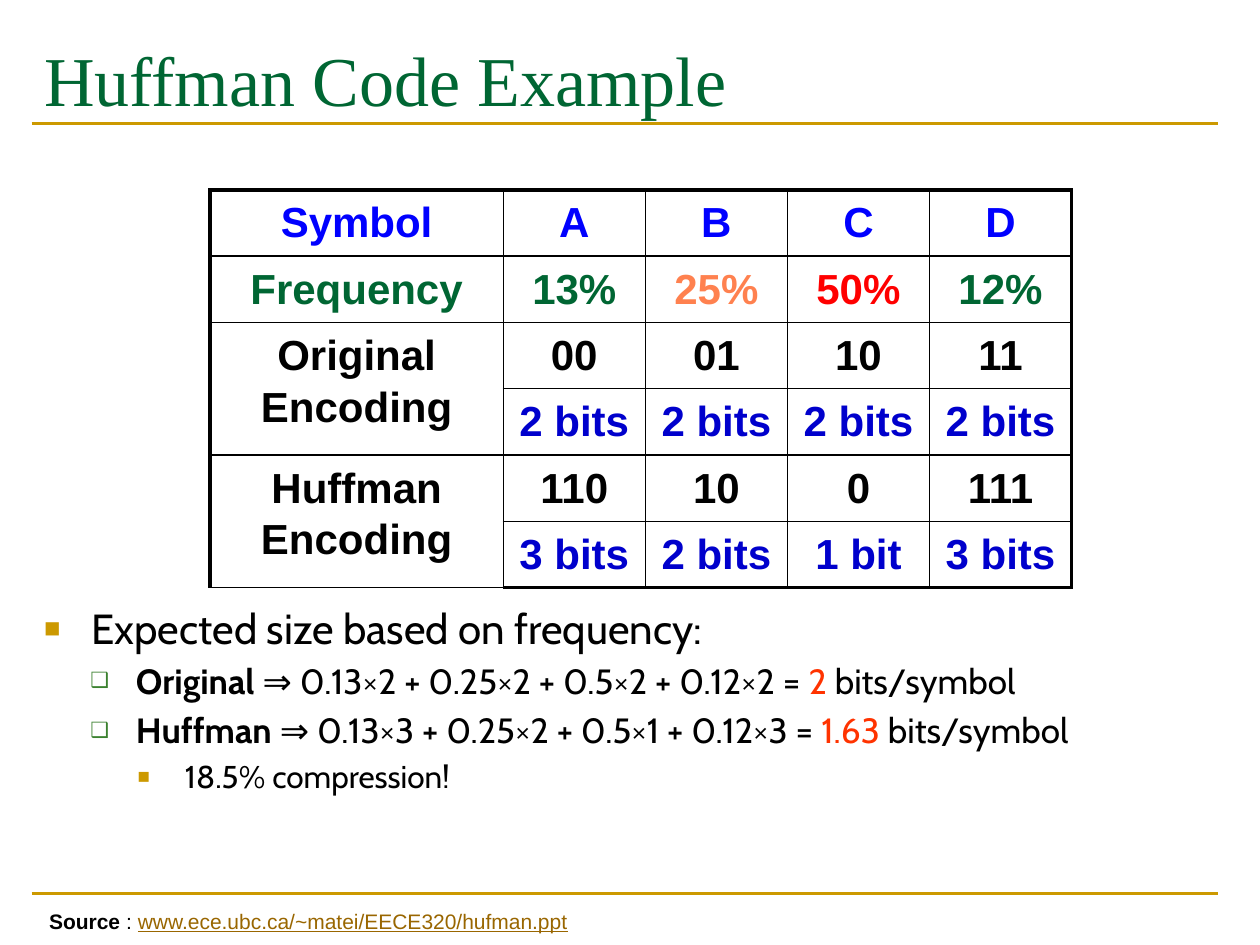
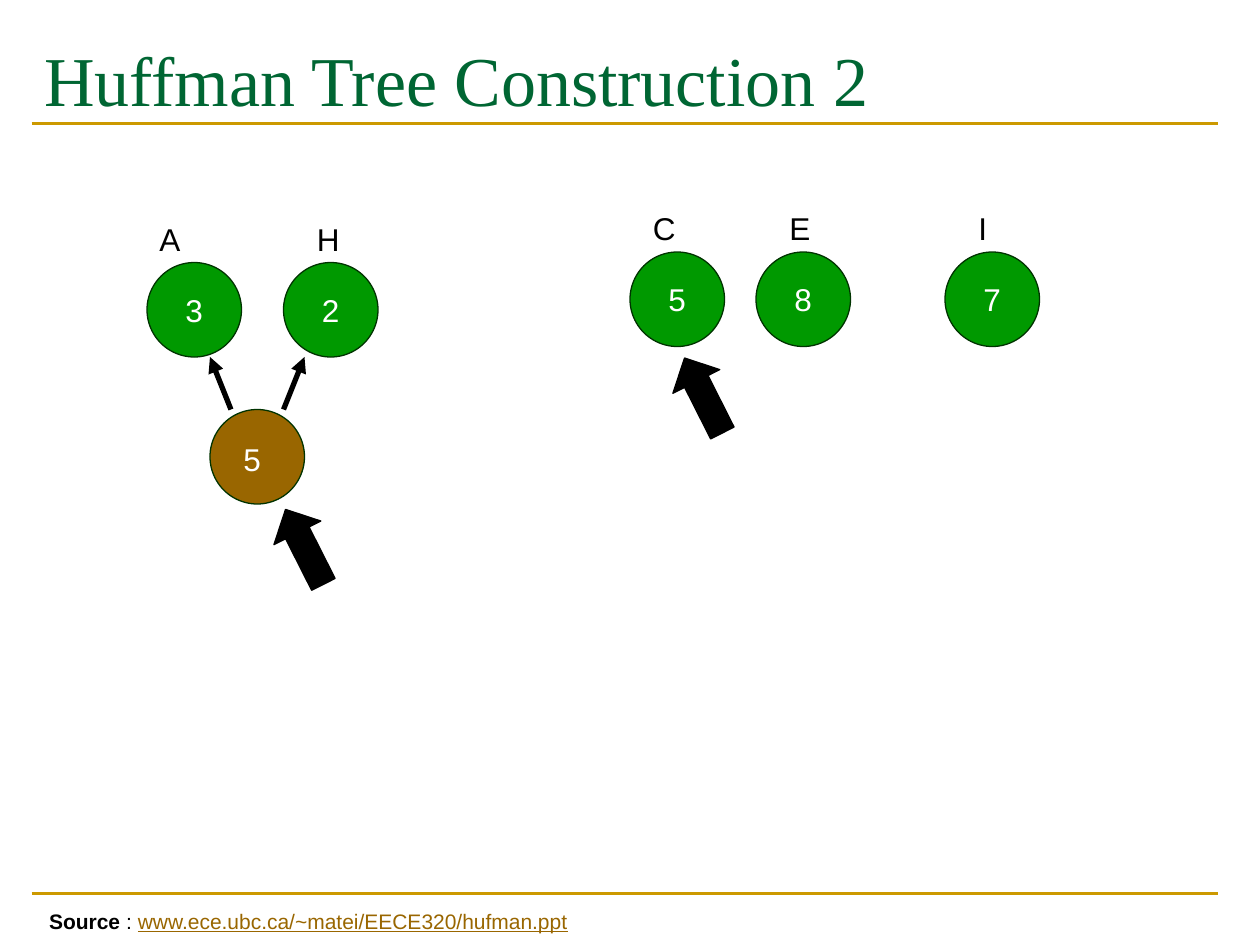
from lxml.etree import SubElement
from pptx import Presentation
from pptx.dml.color import RGBColor
from pptx.enum.shapes import MSO_CONNECTOR, MSO_SHAPE
from pptx.enum.text import MSO_ANCHOR, MSO_AUTO_SIZE, PP_ALIGN
from pptx.oxml.ns import qn
from pptx.oxml.xmlchemy import OxmlElement
from pptx.util import Pt

BLACK = RGBColor(0x00, 0x00, 0x00)
WHITE = RGBColor(0xFF, 0xFF, 0xFF)
GOLD = RGBColor(0xCC, 0x99, 0x00)
BROWN = RGBColor(0x99, 0x66, 0x00)
DARK_GREEN = RGBColor(0x00, 0x66, 0x33)
OUTLINE_GREEN = RGBColor(0x00, 0x33, 0x00)
LEAF_GREEN = RGBColor(0x00, 0x99, 0x00)
BULLET_GREEN = RGBColor(0x3B, 0x81, 0x2F)
BLUE = RGBColor(0x00, 0x00, 0xFF)
DEEP_BLUE = RGBColor(0x00, 0x00, 0xCC)
ORANGE = RGBColor(0xFF, 0x81, 0x4F)
RED = RGBColor(0xFF, 0x00, 0x00)
RESULT_RED = RGBColor(0xFF, 0x33, 0x00)

TITLE_FONT, BODY_FONT, LABEL_FONT = "Times New Roman", "Cabin", "Arial"
TITLE_ONLY, TITLE_AND_BODY = 5, 1
LEFT, RIGHT = 18, 696
NODE_SIZE = 54

# text size, left margin, hanging indent, bullet, bullet colour, bullet percent
LIST_LEVELS = [
    (24, 27, 27, "■", GOLD, 65),
    (20, 52.5, 26, "❑", BULLET_GREEN, 60),
    (18, 80.5, 27, "■", GOLD, 65),
]


class Deck:
    def __init__(self):
        self.presentation = Presentation()
        self.presentation.slide_width = Pt(720)
        self.presentation.slide_height = Pt(540)
        self.slide = None

    def add_slide(self, layout, title):
        """Start a slide with its title, two gold rules and source line."""
        self.slide = self.presentation.slides.add_slide(
            self.presentation.slide_layouts[layout])
        shape = self.slide.shapes.title
        self.place(shape, LEFT, 12, RIGHT - LEFT, 84)
        frame = shape.text_frame
        frame.text = title
        frame.auto_size = MSO_AUTO_SIZE.NONE
        frame.vertical_anchor = MSO_ANCHOR.TOP
        frame.margin_top = Pt(8.6)
        frame.paragraphs[0].alignment = PP_ALIGN.LEFT
        self.style(frame.paragraphs[0].runs[0], 40, DARK_GREEN, TITLE_FONT)
        for y in (70.6, 510.5):
            self.line(LEFT, y, RIGHT, y, GOLD, 1.5)
        self.text(21, 515.5, 540, 21.6, [
            ("Source", BLACK, True),
            (" : ", BLACK, False),
            ("www.ece.ubc.ca/~matei/EECE320/hufman.ppt", BROWN, False),
        ], 12).runs[-1].font.underline = True

    def place(self, shape, left, top, width, height):
        shape.left, shape.top = Pt(left), Pt(top)
        shape.width, shape.height = Pt(width), Pt(height)

    def style(self, run, size, color, name=LABEL_FONT, bold=False):
        font = run.font
        font.size, font.name, font.bold = Pt(size), name, bold
        font.color.rgb = color

    def fill_paragraph(self, paragraph, pieces, size, name=LABEL_FONT):
        """Add one run for each (text, colour, bold) piece."""
        for text, color, bold in pieces:
            run = paragraph.add_run()
            run.text = text
            self.style(run, size, color, name, bold)

    def text(self, left, top, width, height, pieces, size=18):
        box = self.slide.shapes.add_textbox(
            Pt(left), Pt(top), Pt(width), Pt(height))
        box.text_frame.word_wrap = True
        paragraph = box.text_frame.paragraphs[0]
        self.fill_paragraph(paragraph, pieces, size)
        return paragraph

    def line(self, x1, y1, x2, y2, color, width, arrow=False):
        connector = self.slide.shapes.add_connector(
            MSO_CONNECTOR.STRAIGHT, Pt(x1), Pt(y1), Pt(x2), Pt(y2))
        connector.line.color.rgb = color
        connector.line.width = Pt(width)
        properties = connector._element.spPr
        if arrow:
            SubElement(properties.find(qn("a:ln")), qn("a:tailEnd"), type="triangle")
        SubElement(properties, qn("a:effectLst"))

    def shape(self, kind, left, top, width, height, fill, outline):
        shape = self.slide.shapes.add_shape(
            kind, Pt(left), Pt(top), Pt(width), Pt(height))
        shape.shadow.inherit = False
        shape.fill.solid()
        shape.fill.fore_color.rgb = fill
        shape.line.color.rgb = outline
        shape.line.width = Pt(0.75)
        return shape

    def node(self, left, top, fill, weight=None):
        shape = self.shape(MSO_SHAPE.OVAL, left, top, NODE_SIZE, NODE_SIZE,
                           fill, OUTLINE_GREEN)
        if weight:
            frame = shape.text_frame
            frame.word_wrap = False
            frame.vertical_anchor = MSO_ANCHOR.MIDDLE
            frame.paragraphs[0].alignment = PP_ALIGN.CENTER
            self.fill_paragraph(frame.paragraphs[0], [(weight, WHITE, False)], 18)

    def pointer(self, left, top):
        """Draw the block arrow that marks a node chosen for merging."""
        arrow = self.shape(MSO_SHAPE.RIGHT_ARROW, left, top, 48, 30, BLACK, BLACK)
        arrow.rotation = 243.2

    def bullets(self, left, top, width, height, items):
        """Fill the body placeholder with (level, pieces) items."""
        body = self.slide.placeholders[1]
        self.place(body, left, top, width, height)
        frame = body.text_frame
        frame.auto_size = MSO_AUTO_SIZE.NONE
        for index, (level, pieces) in enumerate(items):
            paragraph = frame.add_paragraph() if index else frame.paragraphs[0]
            size, margin, hanging, mark, color, percent = LIST_LEVELS[level]
            paragraph.level = level
            paragraph.space_before = Pt(size * 0.2 if index else 0)
            properties = paragraph._p.get_or_add_pPr()
            properties.set("marL", str(Pt(margin)))
            properties.set("indent", str(-Pt(hanging)))
            bullet_color = SubElement(properties, qn("a:buClr"))
            SubElement(bullet_color, qn("a:srgbClr"), val=str(color))
            SubElement(properties, qn("a:buSzPct"), val=str(percent * 1000))
            SubElement(properties, qn("a:buChar"), char=mark)
            self.fill_paragraph(paragraph, pieces, size, BODY_FONT)

    def table(self, left, top, widths, row_height, rows, colors):
        """Draw a ruled table; a None cell joins the cell above it."""
        table = self.slide.shapes.add_table(
            len(rows), len(widths), Pt(left), Pt(top),
            Pt(sum(widths)), Pt(row_height * len(rows))).table
        table.first_row = table.horz_banding = False
        for column, width in zip(table.columns, widths):
            column.width = Pt(width)
        for r, row in enumerate(rows):
            table.rows[r].height = Pt(row_height)
            for c, value in enumerate(row):
                cell = table.cell(r, c)
                cell.fill.background()
                self.borders(cell, {"L": c == 0, "R": c == len(widths) - 1,
                                    "T": r == 0, "B": r == len(rows) - 1})
                if value is None:
                    table.cell(r - 1, c).merge(cell)
                    continue
                cell.margin_top = cell.margin_bottom = Pt(3.1)
                paragraph = cell.text_frame.paragraphs[0]
                paragraph.alignment = PP_ALIGN.CENTER
                paragraph.line_spacing = 1.1
                self.fill_paragraph(paragraph, [(value, colors[r][c], True)], 24)

    def borders(self, cell, outer_sides):
        properties = cell._tc.get_or_add_tcPr()
        for index, (side, outer) in enumerate(outer_sides.items()):
            border = OxmlElement(f"a:ln{side}")
            border.set("w", str(Pt(2.25 if outer else 1)))
            fill = SubElement(border, qn("a:solidFill"))
            SubElement(fill, qn("a:srgbClr"), val=str(BLACK))
            properties.insert(index, border)


def code_example(deck):
    deck.add_slide(TITLE_AND_BODY, "Huffman Code Example")
    rows = [
        ("Symbol", "A", "B", "C", "D"),
        ("Frequency", "13%", "25%", "50%", "12%"),
        ("Original Encoding", "00", "01", "10", "11"),
        (None, "2 bits", "2 bits", "2 bits", "2 bits"),
        ("Huffman Encoding", "110", "10", "0", "111"),
        (None, "3 bits", "2 bits", "1 bit", "3 bits"),
    ]
    frequency_colors = [DARK_GREEN, DARK_GREEN, ORANGE, RED, DARK_GREEN]
    encoding_colors = [[BLACK] * 5, [DEEP_BLUE] * 5]
    colors = [[BLUE] * 5, frequency_colors] + encoding_colors * 2
    deck.table(120, 108.5, [167.6] + [81.2] * 4, 36.6, rows, colors)

    items = [(0, [("Expected size based on frequency:", BLACK, False)])]
    for name, formula, result in [
        ("Original ", "⇒ 0.13×2 + 0.25×2 + 0.5×2 + 0.12×2 = ", "2"),
        ("Huffman ", "⇒ 0.13×3 + 0.25×2 + 0.5×1 + 0.12×3 = ", "1.63"),
    ]:
        items.append((1, [(name, BLACK, True), (formula, BLACK, False),
                          (result, RESULT_RED, False),
                          (" bits/symbol", BLACK, False)]))
    items.append((2, [("18.5% compression!", BLACK, False)]))
    deck.bullets(LEFT, 340.6, RIGHT - LEFT, 147, items)


def tree_construction(deck):
    deck.add_slide(TITLE_ONLY, "Huffman Tree Construction 2")
    for letter, weight, left, top, label_shift in [
        ("A", "3", 84, 150, 0),
        ("H", "2", 162, 150, 12),
        ("C", "5", 360, 144, 6),
        ("E", "8", 432, 144, 12),
        ("I", "7", 540, 144, 12),
    ]:
        deck.node(left, top, LEAF_GREEN, weight)
        deck.text(left + label_shift, top - 28, 32, 36, [(letter, BLACK, False)])

    deck.node(120, 234, BROWN)
    deck.text(132, 248, 28, 36, [("5", WHITE, False)])
    for start, end in [(132, 120), (162, 174)]:
        deck.line(start, 234, end, 204, BLACK, 3, arrow=True)
    for left, top in [(150, 297.5), (378, 211)]:
        deck.pointer(left, top)


def main():
    deck = Deck()
    code_example(deck)
    tree_construction(deck)
    deck.presentation.save("out.pptx")


if __name__ == "__main__":
    main()
